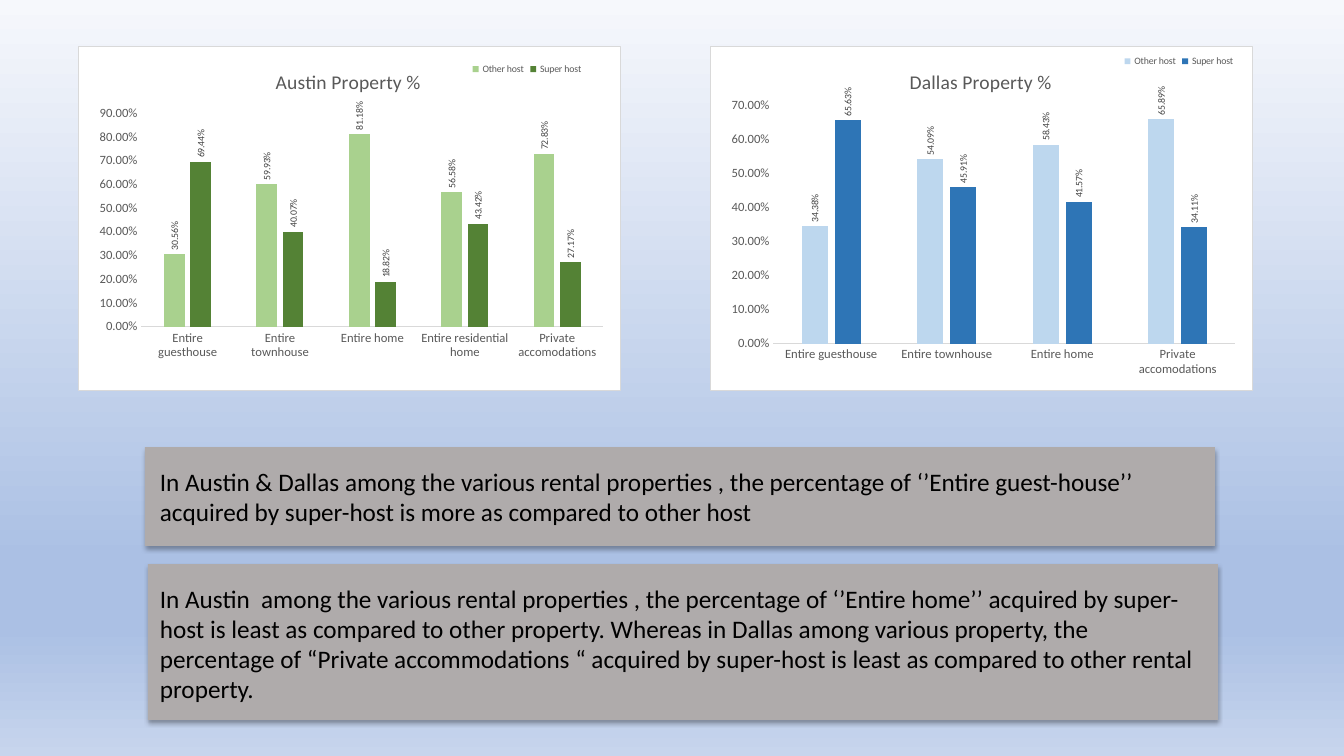
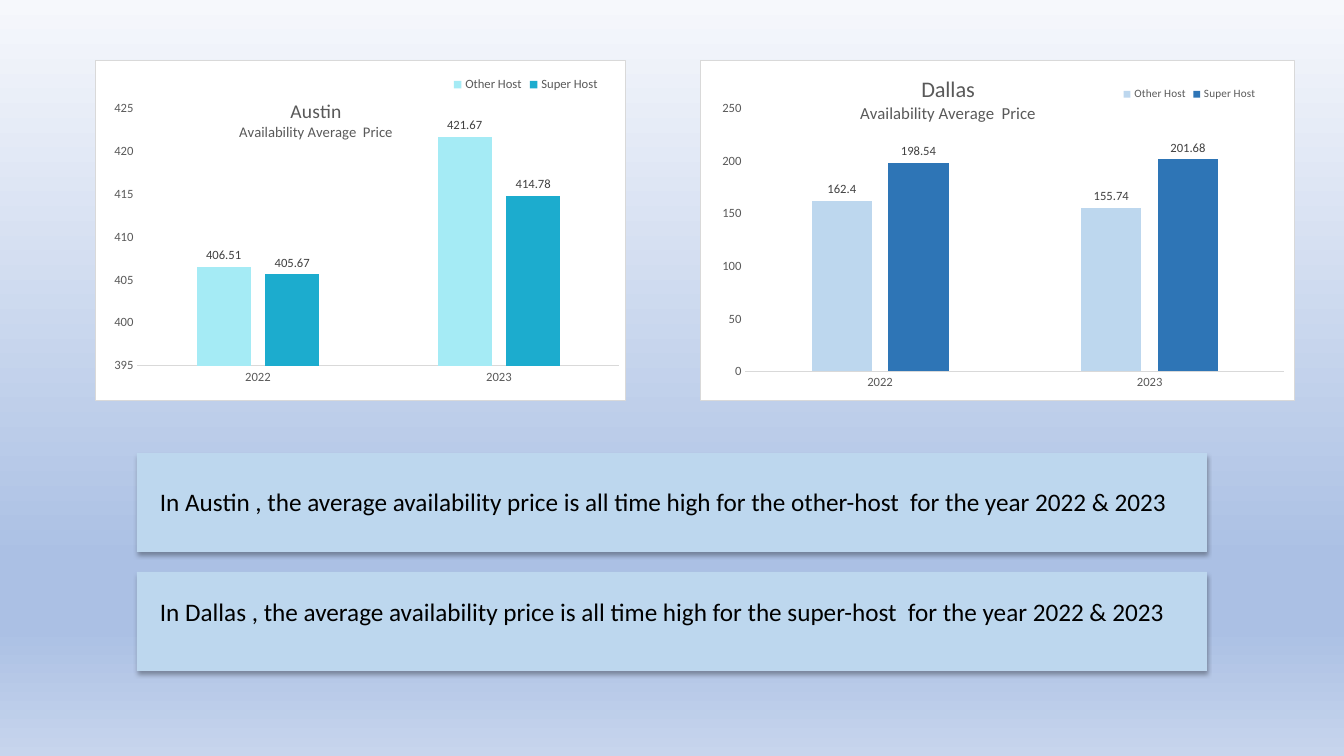
"""Build two slides comparing hosts in Austin and Dallas."""
import dataclasses

import lxml.etree
import pptx
import pptx.chart.data
import pptx.dml.color
import pptx.enum.chart
import pptx.enum.shapes
import pptx.enum.text
import pptx.oxml.ns
import pptx.util

PX = 914400 / 100.8
FONT = "Calibri"
COLORS = {
    "sky_top": "F6F8FC", "sky_mid": "ABC0E4", "sky_low": "C7D5ED",
    "gray": "AFABAB", "pale_blue": "BDD7EE", "blue": "2E75B6",
    "pale_green": "A9D18E", "green": "548235",
    "pale_teal": "A5EBF5", "teal": "1CACCE",
    "white": "FFFFFF", "black": "000000", "rule": "D9D9D9",
    "chart_text": "595959", "label_text": "404040",
}
SKY = [(0, "sky_top"), (74, "sky_mid"), (83, "sky_mid"), (100, "sky_low")]
qn = pptx.oxml.ns.qn


@dataclasses.dataclass
class HostChart:
    """Hold the content of one chart and its parts in px inside its box."""
    box: tuple
    title: list
    title_at: tuple
    legend_at: tuple
    legend_size: int
    plot: tuple
    categories: list
    series: dict
    colors: tuple
    scale: tuple
    number_format: str = "General"
    label_size: int = 9
    upright_labels: bool = False
    subtitle_gap: int = 0


def emu(*lengths):
    """Turn px into EMU."""
    return [pptx.util.Emu(round(length * PX)) for length in lengths]


def rgb(name):
    """Look up a named colour."""
    return pptx.dml.color.RGBColor.from_string(COLORS[name])


def add_node(parent, tag, **attributes):
    """Append an XML element to a parent."""
    return lxml.etree.SubElement(parent, qn(tag), attributes)


def add_color(parent, name):
    """Append a plain RGB colour element."""
    return add_node(parent, "a:srgbClr", val=COLORS[name])


def style_font(font, size, color):
    """Apply the shared typeface with a size and colour."""
    font.name = FONT
    font.size = pptx.util.Pt(size)
    font.bold = False
    font.color.rgb = rgb(color)


def paint_background(master):
    """Give every slide the vertical sky gradient."""
    fill = master.background.fill
    fill.gradient()
    fill.gradient_angle = 270
    stops = master.element.find(".//" + qn("a:gsLst"))
    for stop in list(stops):
        stops.remove(stop)
    for percent, color in SKY:
        add_color(add_node(stops, "a:gs", pos=str(percent * 1000)), color)


def place_part(part, index, box, place):
    """Set the manual layout of a chart part as shares of the chart box."""
    for former in part.findall(qn("c:layout")):
        part.remove(former)
    layout = part.makeelement(qn("c:layout"))
    part.insert(index, layout)
    manual = add_node(layout, "c:manualLayout")
    if len(place) == 4:
        add_node(manual, "c:layoutTarget", val="inner")
    add_node(manual, "c:xMode", val="edge")
    add_node(manual, "c:yMode", val="edge")
    for key, length, whole in zip("xywh", place, box[2:] * 2):
        add_node(manual, "c:" + key, val=str(round(length / whole, 4)))


def frame_chart(chart):
    """Give the chart area a white fill and a thin border."""
    frame = chart.element.makeelement(qn("c:spPr"))
    chart.element.find(qn("c:chart")).addnext(frame)
    add_color(add_node(frame, "a:solidFill"), "white")
    border = add_node(frame, "a:ln", w="9525")
    add_color(add_node(border, "a:solidFill"), "rule")


def style_axes(chart, content):
    """Format both axes."""
    for axis in (chart.category_axis, chart.value_axis):
        axis.has_major_gridlines = False
        axis.major_tick_mark = pptx.enum.chart.XL_TICK_MARK.NONE
        style_font(axis.tick_labels.font, 9, "chart_text")
    chart.category_axis.format.line.color.rgb = rgb("rule")
    chart.category_axis.format.line.width = pptx.util.Pt(0.75)
    values = chart.value_axis
    values.format.line.fill.background()
    values.minimum_scale, values.maximum_scale, values.major_unit = content.scale
    values.tick_labels.number_format = content.number_format
    values.tick_labels.number_format_is_linked = False


def style_series(chart, content):
    """Format the columns and their value labels."""
    plot = chart.plots[0]
    plot.gap_width, plot.overlap = 219, -27
    plot.vary_by_categories = False
    for series, color in zip(plot.series, content.colors):
        series.format.fill.solid()
        series.format.fill.fore_color.rgb = rgb(color)
        labels = series.data_labels
        labels.show_value = True
        labels.position = pptx.enum.chart.XL_LABEL_POSITION.OUTSIDE_END
        labels.number_format = content.number_format
        labels.number_format_is_linked = False
        style_font(labels.font, content.label_size, "label_text")
    if content.upright_labels:
        for labels in chart.element.iter(qn("c:dLbls")):
            body = labels.find(".//" + qn("a:bodyPr"))
            body.set("rot", "-5400000")
            body.set("vert", "horz")


def add_title(chart, content):
    """Write the chart title, one paragraph for each line."""
    chart.has_title = True
    frame = chart.chart_title.text_frame
    frame.text = "\n".join(text for text, size in content.title)
    for para, (text, size) in zip(frame.paragraphs, content.title):
        style_font(para.font, size, "chart_text")
        for span in para.runs:
            style_font(span.font, size, "chart_text")
    if content.subtitle_gap:
        frame.paragraphs[-1].space_before = pptx.util.Pt(content.subtitle_gap)


def add_host_chart(page, content):
    """Add one framed column chart."""
    data = pptx.chart.data.CategoryChartData(number_format=content.number_format)
    data.categories = content.categories
    for name, values in content.series.items():
        data.add_series(name, values)
    kind = pptx.enum.chart.XL_CHART_TYPE.COLUMN_CLUSTERED
    chart = page.shapes.add_chart(kind, *emu(*content.box), data).chart
    style_font(chart.font, 10, "black")
    frame_chart(chart)
    add_title(chart, content)
    style_axes(chart, content)
    style_series(chart, content)
    chart.has_legend = True
    chart.legend.position = pptx.enum.chart.XL_LEGEND_POSITION.BOTTOM
    chart.legend.include_in_layout = False
    style_font(chart.legend.font, content.legend_size, "chart_text")
    for tag, index, place in (
        ("c:title", 1, content.title_at),
        ("c:plotArea", 0, content.plot),
        ("c:legend", 1, content.legend_at),
    ):
        part = chart.element.find(".//" + qn(tag))
        place_part(part, index, content.box, place)


def add_finding(page, box, text_top, text_height, text, color):
    """Add a shadowed panel with its finding on top."""
    panel = page.shapes.add_shape(
        pptx.enum.shapes.MSO_SHAPE.RECTANGLE, *emu(*box))
    panel.fill.solid()
    panel.fill.fore_color.rgb = rgb(color)
    panel.line.fill.background()
    panel.shadow.inherit = False
    effects = panel.element.spPr.find(qn("a:effectLst"))
    shadow = add_node(effects, "a:outerShdw", blurRad="44450", dist="27940",
                      dir="5400000", algn="ctr", rotWithShape="0")
    add_node(add_color(shadow, "black"), "a:alpha", val="32000")
    note = page.shapes.add_textbox(
        *emu(150, box[1] + text_top, 1064, text_height))
    frame = note.text_frame
    frame.word_wrap = True
    frame.auto_size = pptx.enum.text.MSO_AUTO_SIZE.SHAPE_TO_FIT_TEXT
    para = frame.paragraphs[0]
    para.text = text
    style_font(para.font, 18, "black")


def add_comparison(deck, charts, findings, color):
    """Add a slide with two charts above two findings."""
    page = deck.slides.add_slide(deck.slide_layouts.get_by_name("Blank"))
    for finding in findings:
        add_finding(page, *finding, color)
    for content in charts:
        add_host_chart(page, content)


def property_chart(**parts):
    """Describe a property chart with upright percentage labels."""
    return HostChart(legend_size=7, label_size=7, upright_labels=True,
                     number_format="0.00%", **parts)


def main():
    """Build and save the deck."""
    deck = pptx.Presentation()
    deck.slide_width, deck.slide_height = emu(1344, 756)
    paint_background(deck.slide_master)
    add_comparison(deck, [
        property_chart(
            box=(78, 46, 543, 345), title=[("Austin Property %", 14)],
            title_at=(194, 18), legend_at=(391, 13), plot=(63, 67, 463, 214),
            categories=["Entire guesthouse", "Entire townhouse", "Entire home",
                        "Entire residential home", "Private accomodations"],
            series={"Other host": (0.3056, 0.5993, 0.8118, 0.5658, 0.7283),
                    "Super host": (0.6944, 0.4007, 0.1882, 0.4342, 0.2717)},
            colors=("pale_green", "green"), scale=(0, 0.9, 0.1)),
        property_chart(
            box=(710, 46, 543, 345), title=[("Dallas Property %", 14)],
            title_at=(196, 18), legend_at=(411, 5), plot=(63, 59, 463, 239),
            categories=["Entire guesthouse", "Entire townhouse", "Entire home",
                        "Private accomodations"],
            series={"Other host": (0.3438, 0.5409, 0.5843, 0.6589),
                    "Super host": (0.6563, 0.4591, 0.4157, 0.3411)},
            colors=("pale_blue", "blue"), scale=(0, 0.7, 0.1)),
    ], [
        ((148, 564, 1070, 156), 14, 132,
         "In Austin  among the various rental properties , the percentage of "
         "‘’Entire home’’ acquired by super-host is least as compared to other "
         "property. Whereas in Dallas among various property, the percentage of "
         "“Private accommodations “ acquired by super-host is least as compared "
         "to other rental property."),
        ((145, 447, 1070, 99), 14, 72,
         "In Austin & Dallas among the various rental properties , the "
         "percentage of ‘’Entire guest-house’’ acquired by super-host is more "
         "as compared to other host"),
    ], "gray")
    subtitle = "Availability Average  Price"
    years = ["2022", "2023"]
    add_comparison(deck, [
        HostChart(
            box=(95, 60, 531, 341), title=[("Austin", 14), (subtitle, 10.5)],
            title_at=(141, 34), legend_at=(355, 13), legend_size=9,
            plot=(42, 48, 483, 258), categories=years,
            series={"Other Host": (406.51, 421.67),
                    "Super Host": (405.67, 414.78)},
            colors=("pale_teal", "teal"), scale=(395, 425, 5)),
        HostChart(
            box=(700, 60, 595, 341), title=[("Dallas", 16), (subtitle, 12)],
            title_at=(157, 11), legend_at=(420, 23), legend_size=8,
            plot=(45, 48, 540, 264), categories=years,
            series={"Other Host": (162.4, 155.74),
                    "Super Host": (198.54, 201.68)},
            colors=("pale_blue", "blue"), scale=(0, 250, 50), subtitle_gap=5),
    ], [
        ((137, 572, 1070, 99), 19, 40,
         "In Dallas , the average availability price is all time high for the "
         "super-host  for the year 2022 & 2023"),
        ((137, 453, 1070, 99), 28, 40,
         "In Austin , the average availability price is all time high for the "
         "other-host  for the year 2022 & 2023"),
    ], "pale_blue")
    deck.save("out.pptx")


if __name__ == "__main__":
    main()
